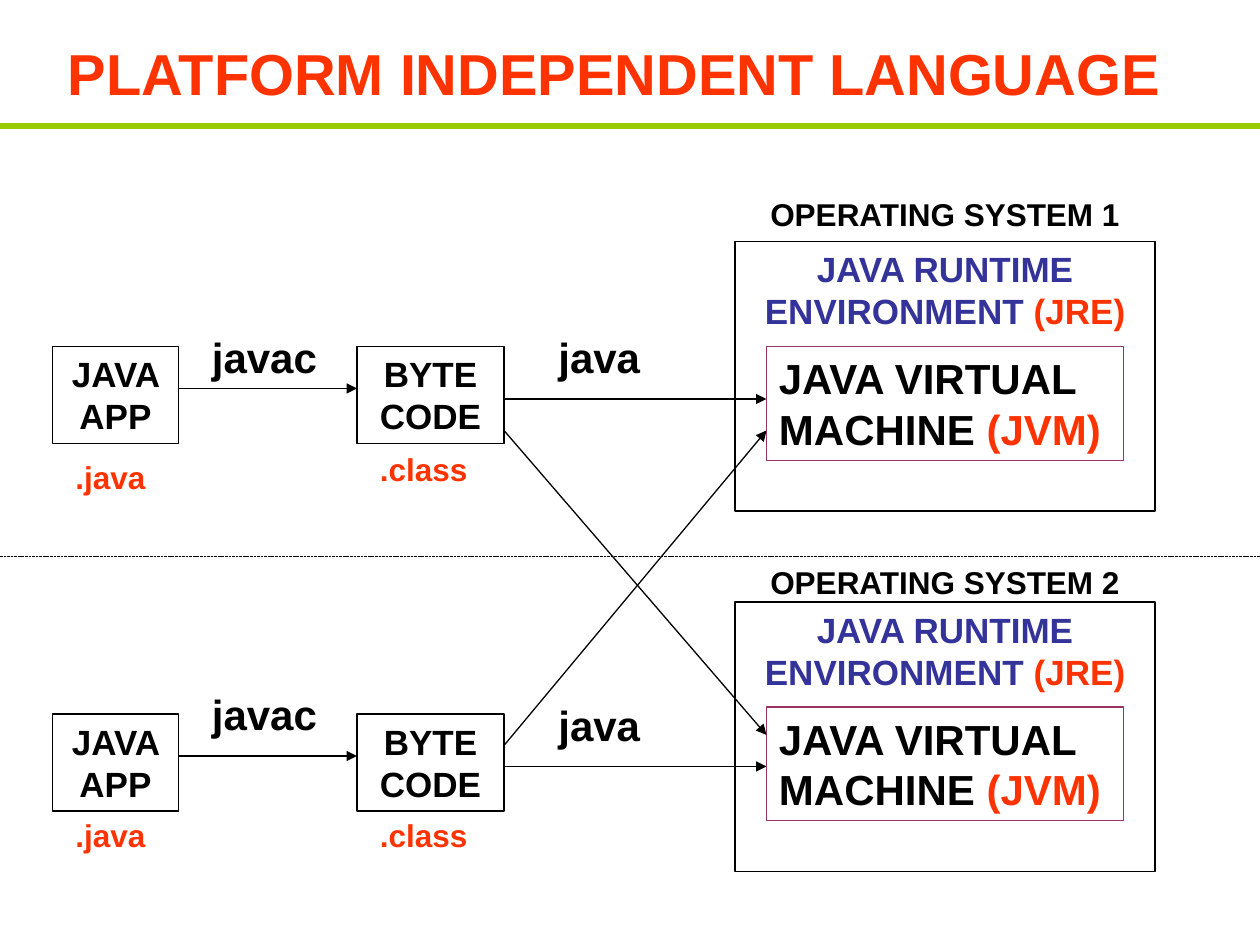
from lxml.etree import SubElement
from pptx import Presentation
from pptx.dml.color import RGBColor
from pptx.enum.dml import MSO_LINE
from pptx.enum.shapes import MSO_CONNECTOR, MSO_SHAPE
from pptx.enum.text import MSO_ANCHOR, PP_ALIGN
from pptx.oxml.ns import qn
from pptx.util import Pt

COLORS = {
    "black": "000000",
    "red": "FF3300",
    "blue": "333399",
    "plum": "993366",
    "green": "99CC00",
}


class Diagram:
    font = "Arial"

    def __init__(self, slide):
        self.slide = slide

    def color(self, name):
        return RGBColor.from_string(COLORS[name])

    def set_text(self, sp, runs, size, align):
        """Fill a shape with bold runs given as (text, colour) pairs."""
        tf = sp.text_frame
        tf.word_wrap = True
        tf.vertical_anchor = MSO_ANCHOR.TOP
        p = tf.paragraphs[0]
        p.alignment = align
        for text, color in runs:
            r = p.add_run()
            r.text = text
            r.font.name = self.font
            r.font.size = Pt(size)
            r.font.bold = True
            r.font.color.rgb = self.color(color)

    def label(self, x, y, w, h, text, size, color="black", align=PP_ALIGN.LEFT):
        sp = self.slide.shapes.add_textbox(Pt(x), Pt(y), Pt(w), Pt(h))
        self.set_text(sp, [(text, color)], size, align)

    def box(self, x, y, w, h, runs, size=20, line="black", align=PP_ALIGN.CENTER):
        sp = self.slide.shapes.add_shape(
            MSO_SHAPE.RECTANGLE, Pt(x), Pt(y), Pt(w), Pt(h))
        sp.shadow.inherit = False
        sp.fill.background()
        sp.line.color.rgb = self.color(line)
        sp.line.width = Pt(0.75)
        self.set_text(sp, runs, size, align)

    def line(self, x1, y1, x2, y2, color="black", width=0.75, dash=None):
        cx = self.slide.shapes.add_connector(
            MSO_CONNECTOR.STRAIGHT, Pt(x1), Pt(y1), Pt(x2), Pt(y2))
        cx.line.color.rgb = self.color(color)
        cx.line.width = Pt(width)
        if dash:
            cx.line.dash_style = dash
        SubElement(cx.element.spPr, qn("a:effectLst"))
        return cx

    def arrow(self, x1, y1, x2, y2):
        cx = self.line(x1, y1, x2, y2)
        SubElement(cx.get_or_add_ln(), qn("a:tailEnd"), type="triangle")


def main():
    prs = Presentation()
    prs.slide_width, prs.slide_height = Pt(720), Pt(540)
    d = Diagram(prs.slides.add_slide(prs.slide_layouts[6]))

    # Title and rule
    d.label(0, 18, 702, 47, "PLATFORM INDEPENDENT LANGUAGE", 33, "red",
            PP_ALIGN.CENTER)
    d.line(0, 72, 720, 72, "green", 3)

    # Operating systems: label top, runtime box top
    for number, (label_y, y) in enumerate([(108, 138), (318, 344)], start=1):
        d.label(420, label_y, 240, 29, f"OPERATING SYSTEM {number}", 18,
                align=PP_ALIGN.CENTER)
        d.box(420, y, 240, 154,
              [("JAVA RUNTIME ENVIRONMENT ", "blue"), ("(JRE)", "red")])
        d.box(438, y + 60, 204, 65,
              [("JAVA VIRTUAL MACHINE ", "black"), ("(JVM)", "red")],
              24, "plum", PP_ALIGN.LEFT)

    # Compile and run rows: box, javac, java, .java and .class tops
    rows = [(198, 186, 186, 258, 253.5), (408, 390, 396, 463, 463)]
    for y, javac_y, java_y, source_y, class_y in rows:
        d.box(30, y, 72, 55.5, [("JAVA APP", "black")])
        d.box(204, y, 84, 55.5, [("BYTE CODE", "black")])
        d.arrow(102, y + 24, 204, y + 24)
        d.arrow(288, y + 30, 438, y + 30)
        d.label(114, javac_y, 84, 36, "javac", 24)
        d.label(312, java_y, 84, 36, "java", 24)
        d.label(36, source_y, 60, 29, ".java", 18, "red")
        d.label(210, class_y, 72, 29, ".class", 18, "red")

    # Byte code runs on the other system too
    d.arrow(288, 246, 438, 420)
    d.arrow(288, 426, 438, 246)

    # Divider between the systems
    d.line(0, 318, 720, 318, width=0.5, dash=MSO_LINE.SQUARE_DOT)

    prs.save("out.pptx")


if __name__ == "__main__":
    main()
